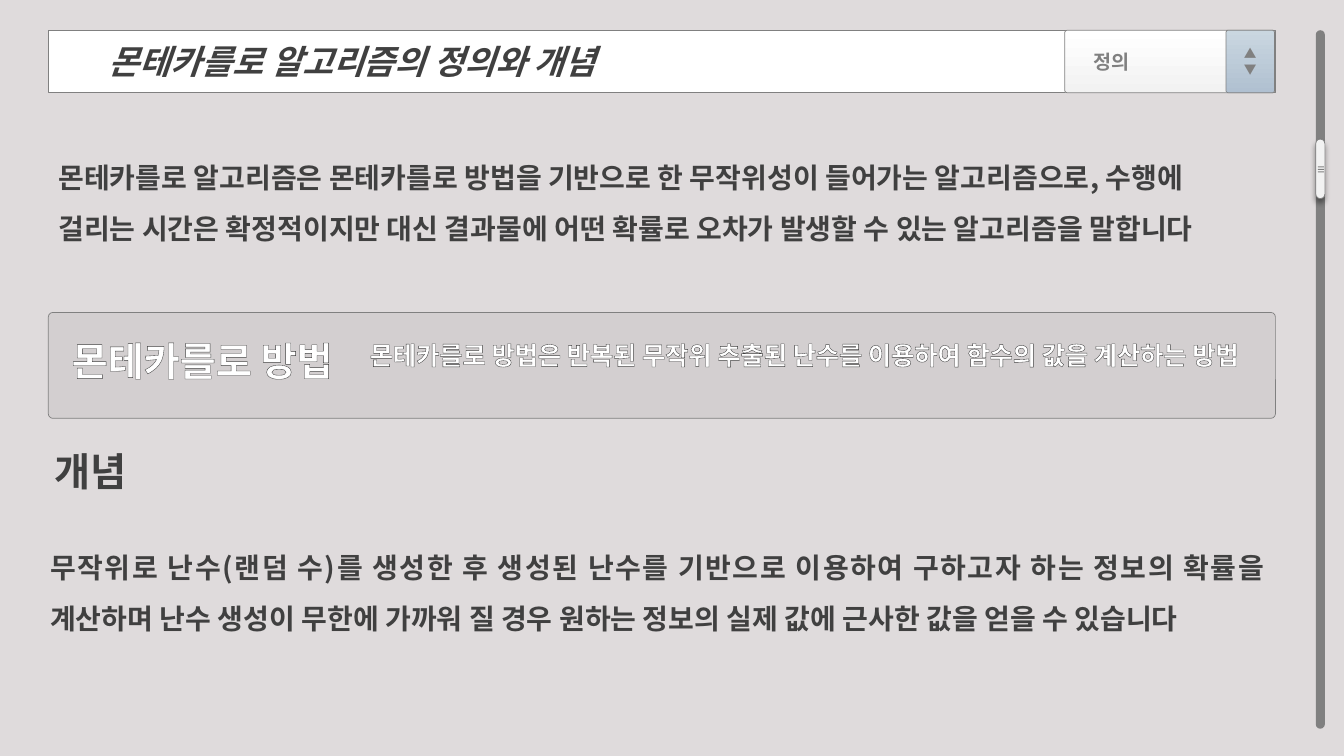
from dataclasses import dataclass
from typing import Optional

import pptx
import pptx.dml.color
import pptx.enum.shapes
import pptx.enum.text
import pptx.oxml
import pptx.oxml.ns
import pptx.util
from pptx.util import Inches

RGBColor = pptx.dml.color.RGBColor
Align = pptx.enum.text.PP_ALIGN
Anchor = pptx.enum.text.MSO_ANCHOR
Preset = pptx.enum.shapes.MSO_SHAPE
AutoSize = pptx.enum.text.MSO_AUTO_SIZE

FONT = "Noto Sans CJK KR"
BACKGROUND = RGBColor(0xDF, 0xDB, 0xDC)
BLACK = RGBColor(0, 0, 0)
WHITE = RGBColor(0xFF, 0xFF, 0xFF)
PALE = RGBColor(0xF2, 0xF2, 0xF2)
GRAY = RGBColor(0x80, 0x80, 0x80)
DARK = RGBColor(0x40, 0x40, 0x40)
BLUE_LIGHT = RGBColor(0xCA, 0xD7, 0xE0)
BLUE_DEEP = RGBColor(0xB0, 0xC0, 0xD1)
CORNER = 0.041
BAR_LEFT, BAR_TOP, BAR_WIDTH, BAR_HEIGHT = 0.48, 0.3, 12.17, 0.62
SCROLL_LEFT, SCROLL_WIDTH = 13.05, 0.09


@dataclass
class Style:
    """Look of the characters and paragraphs in one text."""
    size: int
    color: RGBColor
    bold: bool = True
    italic: bool = False
    align: Align = Align.LEFT
    spacing: Optional[float] = None
    outlined: bool = False


@dataclass
class Block:
    """A free text box on the slide."""
    text: str
    left: float
    top: float
    width: float
    height: float
    style: Style
    wrap: bool = True


HEADING = Style(28, DARK, align=Align.CENTER)
BLOCKS = [
    Block("몬테카를로 알고리즘은 몬테카를로 방법을 기반으로 한 무작위성이 들어가는 알고리즘으로, "
          "수행에 걸리는 시간은 확정적이지만 대신 결과물에 어떤 확률로 오차가 발생할 수 있는 "
          "알고리즘을 말합니다",
          0.48, 1.38, 12.17, 1.62, Style(20, DARK, spacing=1.5)),
    Block("몬테카를로 방법", 0.46, 3.29, 3.09, 0.57,
          Style(28, WHITE, align=Align.CENTER, outlined=True), wrap=False),
    Block("무작위로 난수(랜덤 수)를 생성한 후 생성된 난수를 기반으로 이용하여 구하고자 하는 정보의 "
          "확률을 계산하며 난수 생성이 무한에 가까워 질 경우 원하는 정보의 실제 값에 근사한 값을 "
          "얻을 수 있습니다",
          0.4, 5.25, 12.24, 1.62, Style(20, DARK, align=Align.JUSTIFY, spacing=1.5)),
    Block("개념", 0.4, 4.39, 0.99, 0.57, HEADING, wrap=False),
    Block("몬테카를로 방법은 반복된 무작위 추출된 난수를 이용하여 함수의 값을 계산하는 방법",
          3.57, 3.32, 8.93, 0.71, Style(18, WHITE, outlined=True)),
]


def add_xml(parent, markup: str, index: Optional[int] = None) -> None:
    """Put a DrawingML element into parent, last unless an index is given."""
    head, tail = markup.split(" ", 1)
    element = pptx.oxml.parse_xml(f"{head} {pptx.oxml.ns.nsdecls('a')} {tail}")
    parent.insert(len(parent) if index is None else index, element)


def write(frame, text: str, style: Style) -> None:
    """Fill a text frame, one paragraph for each line of text."""
    frame.text = text
    for para in frame.paragraphs:
        para.alignment = style.align
        if style.spacing:
            para.line_spacing = style.spacing
        font = para.font
        font.name = FONT
        font.size = pptx.util.Pt(style.size)
        font.bold, font.italic = style.bold, style.italic
        font.color.rgb = style.color
        properties = para._p.pPr.find(pptx.oxml.ns.qn("a:defRPr"))
        add_xml(properties, f'<a:ea typeface="{FONT}"/>')
        if style.outlined:
            add_xml(properties, '<a:ln w="3175"><a:solidFill>'
                    f'<a:srgbClr val="{DARK}"/></a:solidFill></a:ln>', 0)


def outline(shape) -> None:
    """Give a shape the thin gray border."""
    shape.line.color.rgb = GRAY
    shape.line.width = pptx.util.Pt(0.5)


def add_box(shapes, left: float, top: float, width: float, height: float, *colors: RGBColor,
            corner: Optional[float] = CORNER, bordered: bool = True):
    """Add a rectangle; two colours make a gradient from top to bottom."""
    preset = Preset.RECTANGLE if corner is None else Preset.ROUNDED_RECTANGLE
    box = shapes.add_shape(preset, Inches(left), Inches(top), Inches(width), Inches(height))
    box.shadow.inherit = False
    if corner is not None:
        box.adjustments[0] = corner
    if len(colors) == 1:
        box.fill.solid()
        box.fill.fore_color.rgb = colors[0]
    else:
        box.fill.gradient()
        box.fill.gradient_angle = 270
        for stop, color in zip(box.fill.gradient_stops, colors):
            stop.color.rgb = color
    if bordered:
        outline(box)
    else:
        box.line.fill.background()
    return box


def add_title_bar(slide) -> None:
    """Turn the title placeholder into the white bar at the top."""
    title = slide.shapes.title
    title.left, title.top = Inches(BAR_LEFT), Inches(BAR_TOP)
    title.width, title.height = Inches(BAR_WIDTH), Inches(BAR_HEIGHT)
    add_xml(title._element.spPr, '<a:prstGeom prst="roundRect"><a:avLst>'
            f'<a:gd name="adj" fmla="val {CORNER * 100000:.0f}"/></a:avLst></a:prstGeom>')
    title.fill.solid()
    title.fill.fore_color.rgb = WHITE
    outline(title)
    frame = title.text_frame
    frame.auto_size = AutoSize.NONE
    frame.vertical_anchor = Anchor.MIDDLE
    frame.margin_left = Inches(0.6)
    write(frame, "몬테카를로 알고리즘의 정의와 개념", Style(24, DARK, italic=True))


def add_selector(slide) -> None:
    """Add the drop-down field and its arrow button."""
    field = add_box(slide.shapes, 10.56, BAR_TOP, 2.09, BAR_HEIGHT, WHITE, PALE)
    field.text_frame.margin_left = Inches(0.28)
    write(field.text_frame, "정의", Style(14, GRAY))
    button = add_box(slide.shapes, 12.16, BAR_TOP, 0.48, BAR_HEIGHT, BLUE_LIGHT, BLUE_DEEP)
    write(button.text_frame, "▲\n▼", Style(9, GRAY, bold=False, align=Align.CENTER))
    for shape in (field, button):
        shape.text_frame.vertical_anchor = Anchor.MIDDLE


def add_scrollbar(slide) -> None:
    """Add the scroll track and its grouped thumb with three grip lines."""
    add_box(slide.shapes, SCROLL_LEFT, 0.3, SCROLL_WIDTH, 6.93, GRAY, corner=0.5, bordered=False)
    group = slide.shapes.add_group_shape()
    thumb = add_box(group.shapes, SCROLL_LEFT, 1.38, SCROLL_WIDTH, 0.59, PALE, corner=0.5)
    effects = thumb._element.spPr.find(pptx.oxml.ns.qn("a:effectLst"))
    add_xml(effects, '<a:outerShdw blurRad="50800" dist="38100" dir="5400000">'
            f'<a:srgbClr val="{BLACK}"><a:alpha val="40000"/></a:srgbClr></a:outerShdw>')
    for row in range(3):
        add_box(group.shapes, 13.07, 1.65 + row * 0.05 / 2, 0.06, 0.01, GRAY,
                corner=None, bordered=False)


def add_block(slide, block: Block) -> None:
    """Add one free text box."""
    box = slide.shapes.add_textbox(Inches(block.left), Inches(block.top),
                                   Inches(block.width), Inches(block.height))
    box.text_frame.word_wrap = block.wrap
    box.text_frame.auto_size = AutoSize.SHAPE_TO_FIT_TEXT
    write(box.text_frame, block.text, block.style)


def main() -> None:
    """Build the slide and save the deck."""
    deck = pptx.Presentation()
    deck.slide_width, deck.slide_height = Inches(13.33), Inches(7.5)
    page = deck.slides.add_slide(deck.slide_layouts[5])
    page.background.fill.solid()
    page.background.fill.fore_color.rgb = BACKGROUND
    add_title_bar(page)
    panel = add_box(page.shapes, BAR_LEFT, 3.1, BAR_WIDTH, 1.05, BLACK)
    panel_color = panel._element.spPr.find(".//" + pptx.oxml.ns.qn("a:srgbClr"))
    add_xml(panel_color, '<a:alpha val="5000"/>')
    add_scrollbar(page)
    add_selector(page)
    for block in BLOCKS:
        add_block(page, block)
    deck.save("out.pptx")


main()
